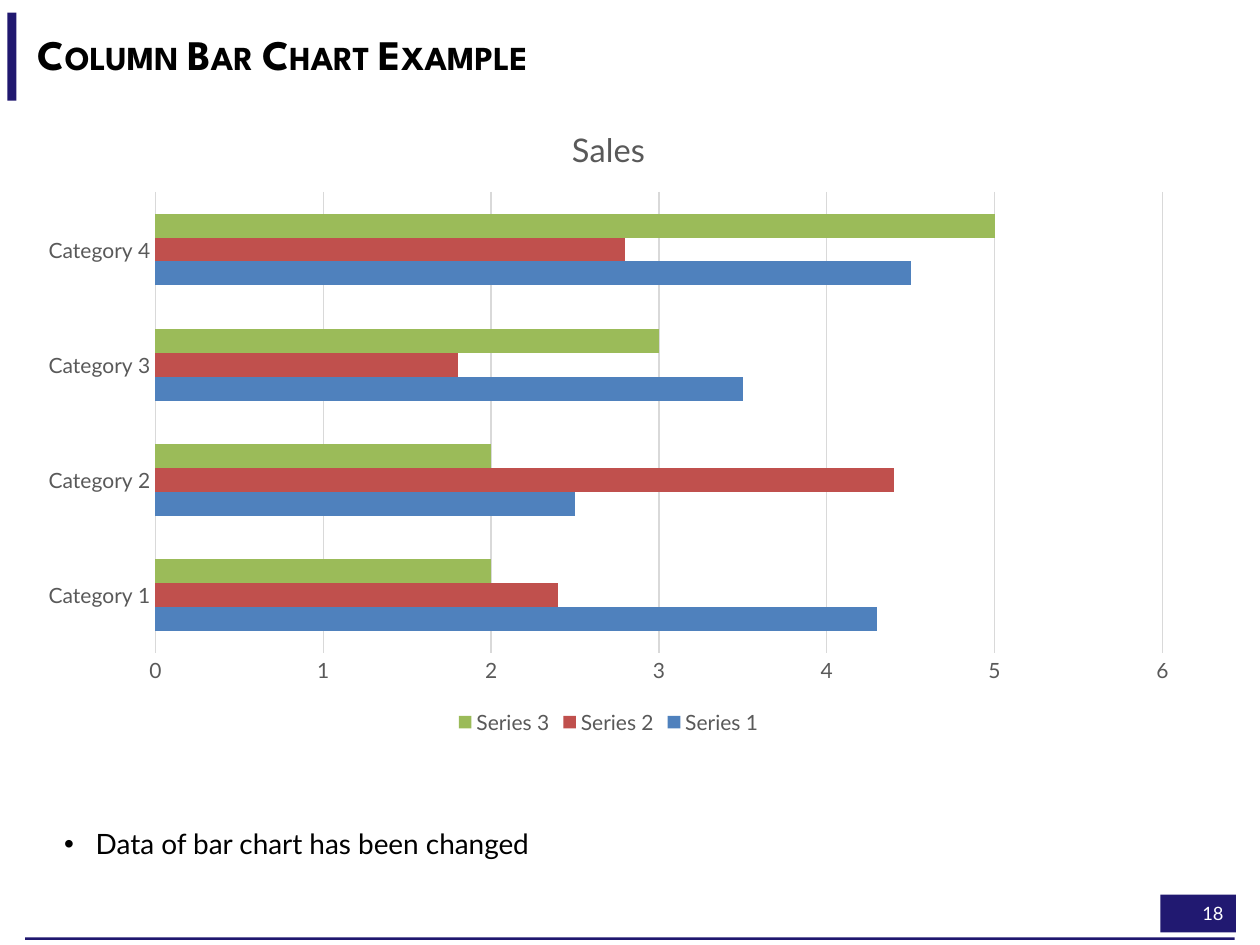
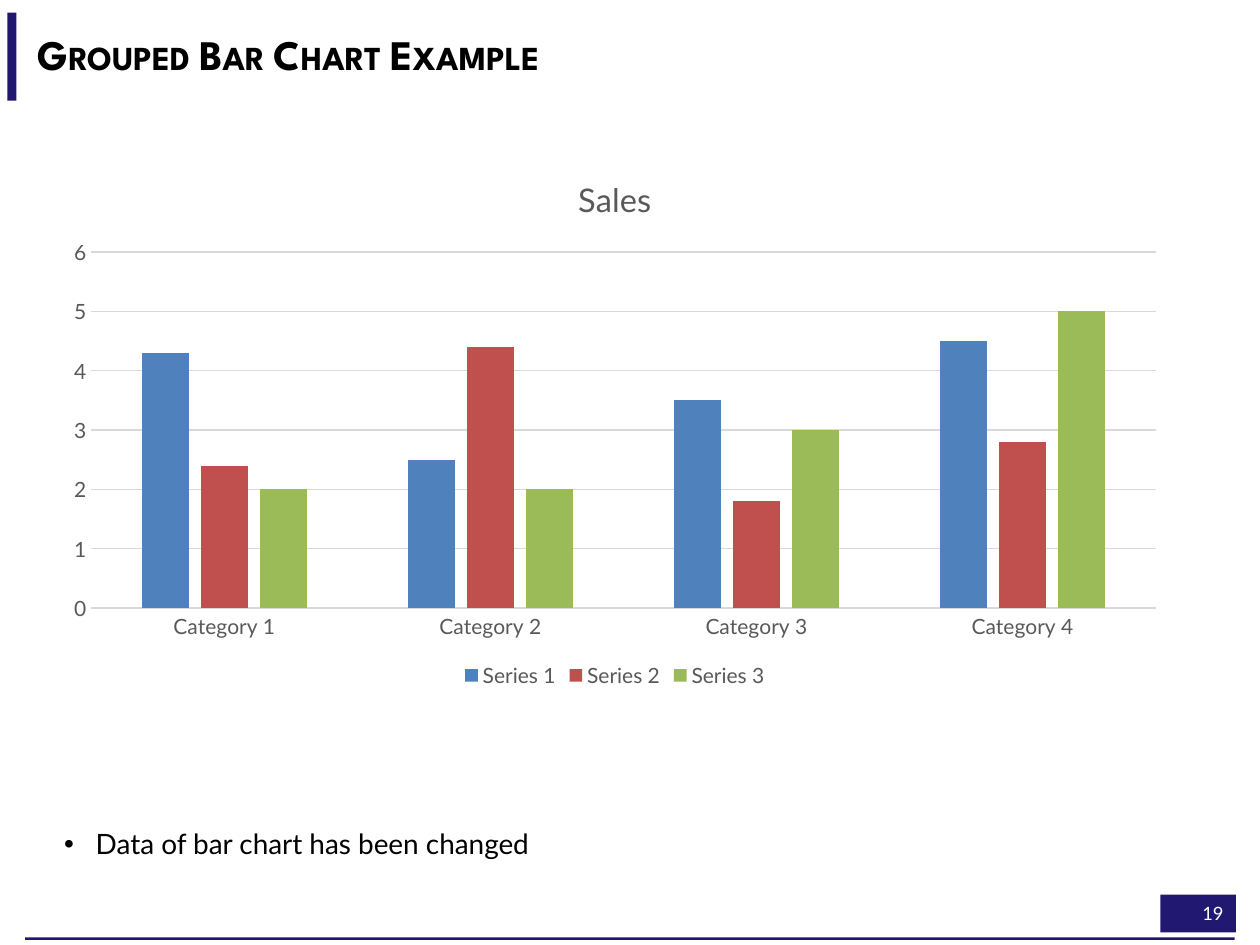
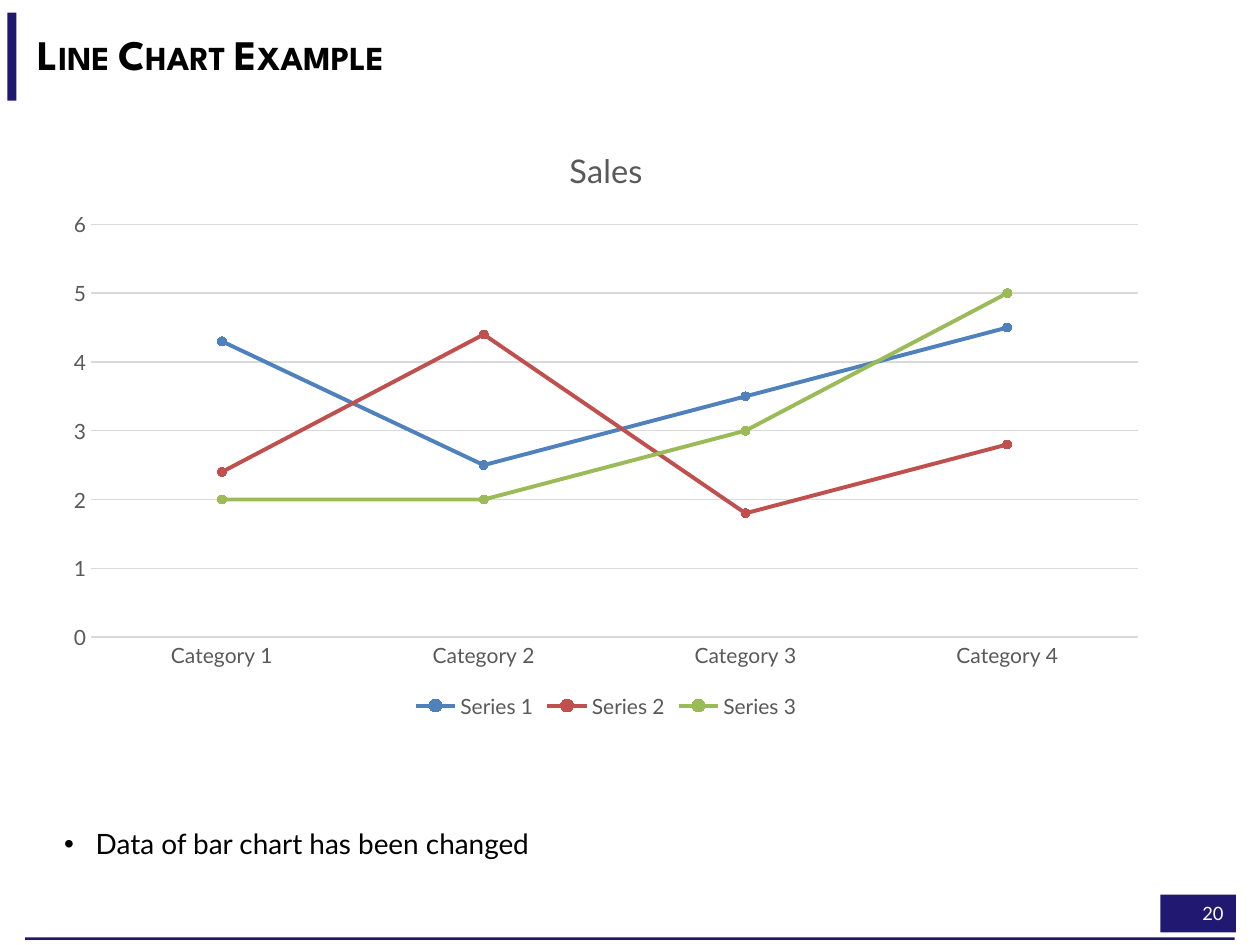
from lxml import etree
from pptx import Presentation
from pptx.chart.data import CategoryChartData
from pptx.dml.color import RGBColor
from pptx.enum.chart import XL_CHART_TYPE, XL_LEGEND_POSITION, XL_MARKER_STYLE, XL_TICK_MARK
from pptx.enum.shapes import MSO_SHAPE
from pptx.enum.text import MSO_ANCHOR, MSO_AUTO_SIZE, PP_ALIGN
from pptx.oxml.ns import qn
from pptx.util import Inches, Pt

# Content
CATEGORIES = ["Category 1", "Category 2", "Category 3", "Category 4"]
SERIES = [
    ("Series 1", [4.3, 2.5, 3.5, 4.5], "4F81BD"),
    ("Series 2", [2.4, 4.4, 1.8, 2.8], "C0504D"),
    ("Series 3", [2, 2, 3, 5], "9BBB59"),
]
CHART_TITLE = "Sales"
REMARK = "Data of bar chart has been changed"
FIRST_PAGE = 18
SLIDES = [
    dict(title="Column Bar Chart Example", kind=XL_CHART_TYPE.BAR_CLUSTERED,
         box=(0.2, 0.8, 9.26, 5.07), gap=182, overlap=0),
    dict(title="Grouped Bar Chart Example", kind=XL_CHART_TYPE.COLUMN_CLUSTERED,
         box=(0.41, 1.21, 8.94, 4.29), gap=219, overlap=-27),
    dict(title="Line Chart Example", kind=XL_CHART_TYPE.LINE_MARKERS,
         box=(0.41, 0.97, 8.8, 4.77)),
]

# Shared style
BODY_FONT, TITLE_FONT = "Lato", "League Spartan"
NAVY, PAGE_NAVY = "20186F", "211971"
BLACK, WHITE, GRAY, GRID = "000000", "FFFFFF", "595959", "D9D9D9"
TITLE_BOX = (0.2, 0.1, 9.6, 0.7)
REMARK_BOX = (0.41, 6.54, 8.94, 0.86)
PAGE_BOX = (9.21, 7.1, 0.6, 0.3)
BANDS = [(0.2, 7.44, 9.6, 0.02), (0.06, 0.1, 0.07, 0.7)]


def paint(fill, color):
    fill.solid()
    fill.fore_color.rgb = RGBColor.from_string(color)


def style_font(font, size, color, name=BODY_FONT, bold=False):
    font.name, font.size, font.bold = name, Pt(size), bold
    font.color.rgb = RGBColor.from_string(color)


def style_line(line, color, width):
    paint(line.fill, color)
    line.width = Pt(width)


def place(shape, box):
    shape.left, shape.top, shape.width, shape.height = map(Inches, box)


def add_band(slide, box, color):
    band = slide.shapes.add_shape(MSO_SHAPE.RECTANGLE, *map(Inches, box))
    band.shadow.inherit = False
    paint(band.fill, color)
    band.line.fill.background()
    return band


def add_frame(slide, page):
    for box in BANDS:
        add_band(slide, box, NAVY)
    page_frame = add_band(slide, PAGE_BOX, PAGE_NAVY).text_frame
    page_frame.vertical_anchor = MSO_ANCHOR.MIDDLE
    paragraph = page_frame.paragraphs[0]
    paragraph.alignment = PP_ALIGN.RIGHT
    run = paragraph.add_run()
    run.text = str(page)
    style_font(run.font, 10.5, WHITE)


def fill_placeholder(shape, box, text, size, font_name, bold, anchor):
    place(shape, box)
    frame = shape.text_frame
    frame.auto_size = MSO_AUTO_SIZE.NONE
    frame.vertical_anchor = anchor
    paragraph = frame.paragraphs[0]
    paragraph.alignment = PP_ALIGN.LEFT
    paragraph.line_spacing = 0.9
    run = paragraph.add_run()
    run.text = text
    style_font(run.font, size, BLACK, font_name, bold)
    return paragraph, run


def add_title(slide, text):
    title = slide.shapes.title
    _, run = fill_placeholder(title, TITLE_BOX, text, 24, TITLE_FONT, True, MSO_ANCHOR.MIDDLE)
    run.font._element.set("cap", "small")
    # Half-transparent white backing
    paint(title.fill, WHITE)
    backing = title._element.spPr.find(qn("a:solidFill")).find(qn("a:srgbClr"))
    etree.SubElement(backing, qn("a:alpha")).set("val", "50000")


def add_remark(slide):
    paragraph, _ = fill_placeholder(slide.placeholders[1], REMARK_BOX, REMARK, 16,
                                    BODY_FONT, False, MSO_ANCHOR.TOP)
    paragraph.space_before = Pt(10)
    properties = paragraph._p.get_or_add_pPr()
    properties.set("marL", str(Inches(0.25)))
    properties.set("indent", str(-Inches(0.25)))
    etree.SubElement(properties, qn("a:buFont")).set("typeface", "Arial")
    etree.SubElement(properties, qn("a:buChar")).set("char", "•")


def style_axes(chart):
    for axis in (chart.category_axis, chart.value_axis):
        axis.major_tick_mark = axis.minor_tick_mark = XL_TICK_MARK.NONE
        style_font(axis.tick_labels.font, 12, GRAY)
    chart.category_axis.has_major_gridlines = False
    style_line(chart.category_axis.format.line, GRID, 0.75)
    values = chart.value_axis
    values.minimum_scale, values.maximum_scale, values.major_unit = 0, 6, 1
    values.format.line.fill.background()
    values.has_major_gridlines = True
    style_line(values.major_gridlines.format.line, GRID, 0.75)


def style_series(plot, is_line):
    for series, (_, _, color) in zip(plot.series, SERIES):
        if is_line:
            series.smooth = False
            style_line(series.format.line, color, 2.25)
            marker = series.marker
            marker.style, marker.size = XL_MARKER_STYLE.CIRCLE, 5
            paint(marker.format.fill, color)
            style_line(marker.format.line, color, 0.75)
        else:
            series.invert_if_negative = False
            paint(series.format.fill, color)


def add_sales_chart(slide, content):
    data = CategoryChartData()
    data.categories = CATEGORIES
    for name, values, _ in SERIES:
        data.add_series(name, values)
    chart = slide.shapes.add_chart(content["kind"], *map(Inches, content["box"]), data).chart
    style_font(chart.font, 10, BLACK)

    chart.has_title = True
    run = chart.chart_title.text_frame.paragraphs[0].add_run()
    run.text = CHART_TITLE
    style_font(run.font, 18.6, GRAY)
    chart.chart_title.include_in_layout = False

    chart.has_legend = True
    chart.legend.position = XL_LEGEND_POSITION.BOTTOM
    chart.legend.include_in_layout = False
    style_font(chart.legend.font, 12, GRAY)

    style_axes(chart)
    plot = chart.plots[0]
    plot.vary_by_categories = False
    if "gap" in content:
        plot.gap_width, plot.overlap = content["gap"], content["overlap"]
    style_series(plot, content["kind"] == XL_CHART_TYPE.LINE_MARKERS)


def main():
    deck = Presentation()
    deck.slide_width, deck.slide_height = Inches(10), Inches(7.5)
    for page, content in enumerate(SLIDES, FIRST_PAGE):
        slide = deck.slides.add_slide(deck.slide_layouts[1])
        add_frame(slide, page)
        add_title(slide, content["title"])
        add_remark(slide)
        add_sales_chart(slide, content)
    deck.save("out.pptx")


if __name__ == "__main__":
    main()
